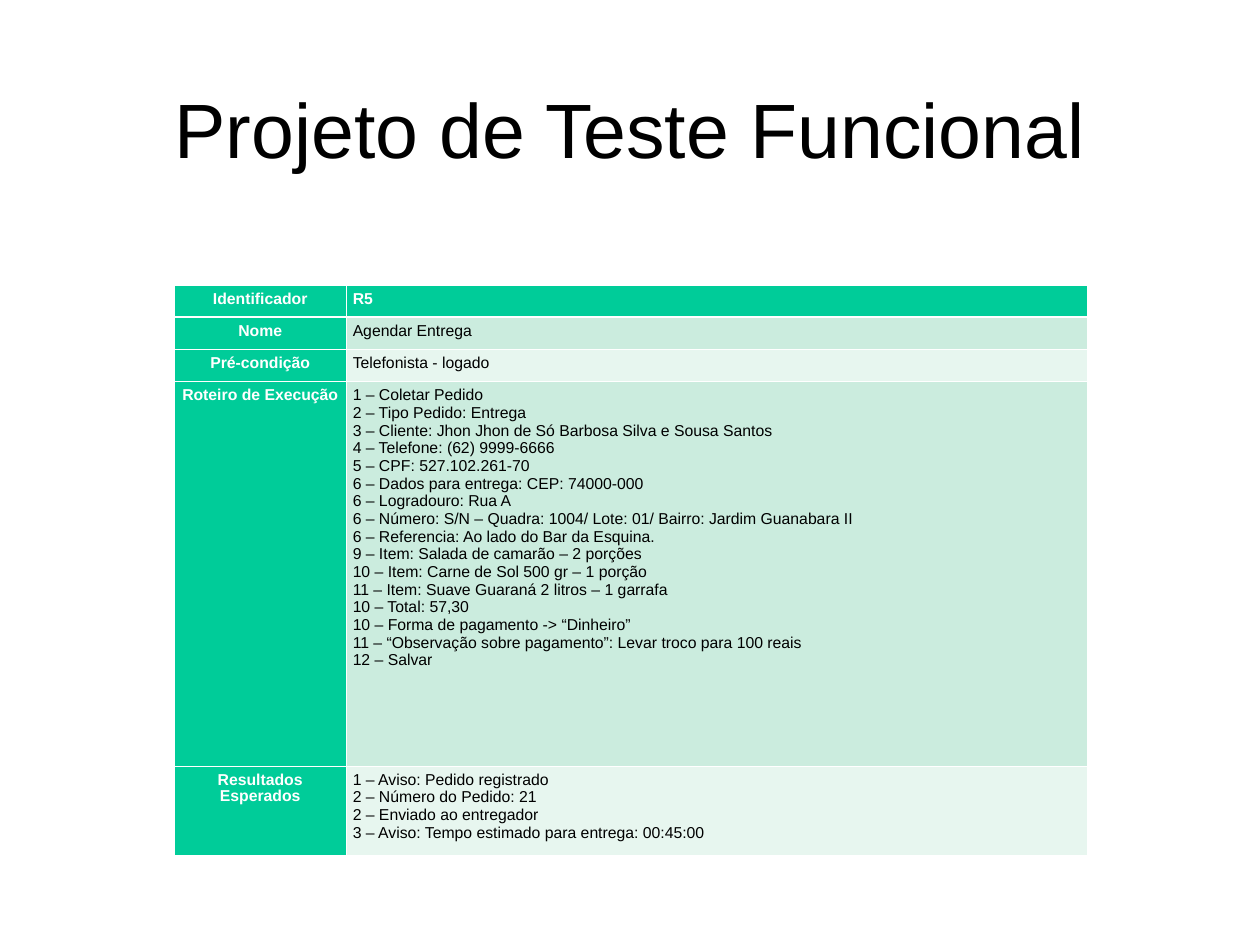
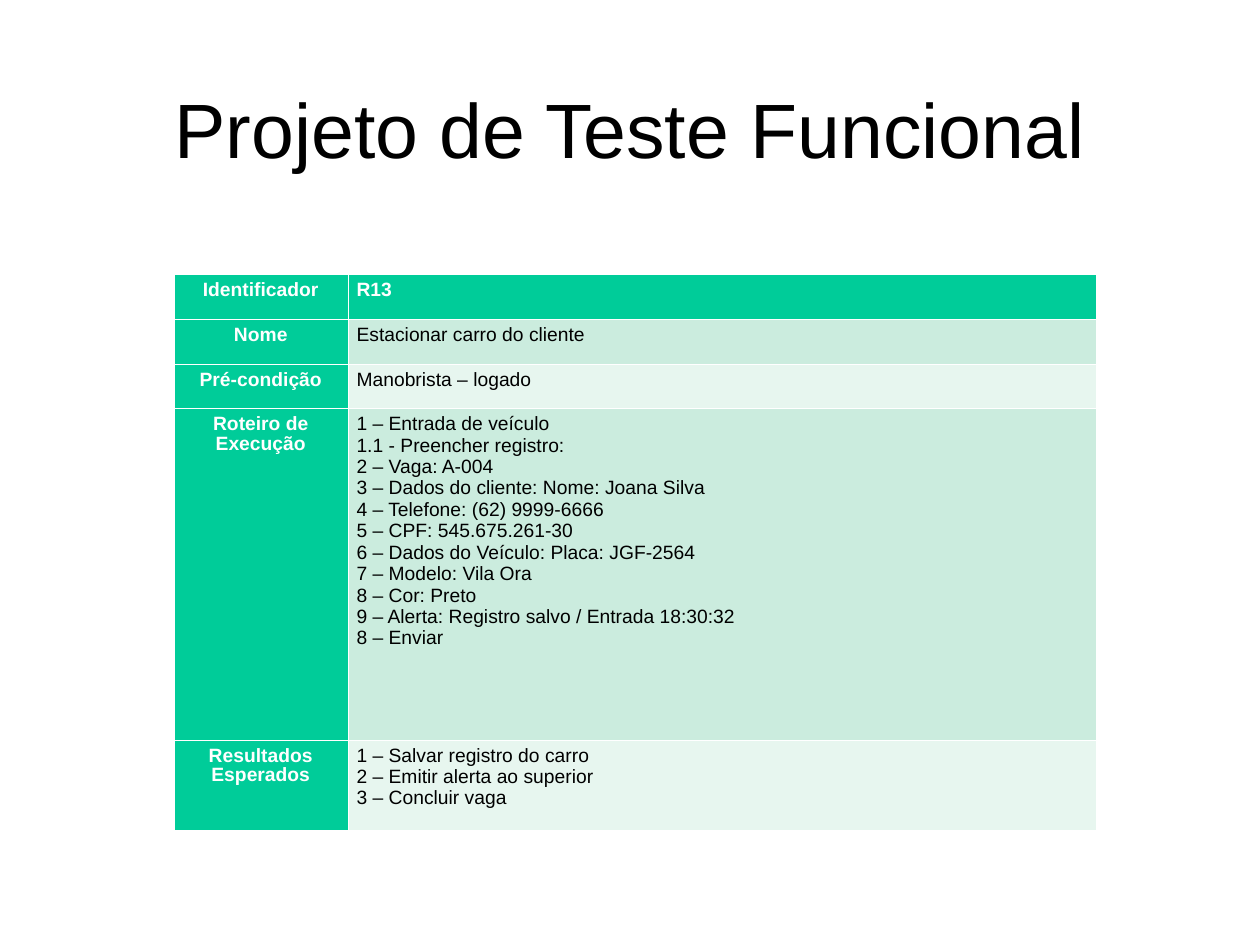
from lxml.etree import SubElement as Sub
from pptx import Presentation as Deck
from pptx.dml.color import RGBColor as Rgb
from pptx.enum.text import MSO_ANCHOR as Anchor, PP_ALIGN as Align
from pptx.oxml.ns import qn
from pptx.util import Inches, Pt

FONT = "Arial"
WHITE, BLACK = "FFFFFF", "000000"
GREEN, BANDS = "00CC99", ("E7F6EF", "CBECDE")
TITLE = "Projeto de Teste Funcional"
LABELS = ("Identificador", "Nome", "Pré-condição",
          "Roteiro de Execução", "Resultados Esperados")
THIN, THICK = 0.23, 0.75
COLS = 100

ORDER = (
    ["R5"],
    ["Agendar Entrega"],
    ["Telefonista - logado"],
    [
        "1 – Coletar Pedido",
        "2 – Tipo Pedido: Entrega",
        "3 – Cliente: Jhon Jhon de Só Barbosa Silva e Sousa Santos",
        "4 – Telefone: (62) 9999-6666",
        "5 – CPF: 527.102.261-70",
        "6 – Dados para entrega: CEP: 74000-000",
        "6 – Logradouro: Rua A",
        "6 – Número: S/N – Quadra: 1004/ Lote: 01/ Bairro: Jardim Guanabara II",
        "6 – Referencia: Ao lado do Bar da Esquina.",
        "9 – Item: Salada de camarão – 2 porções",
        "10 – Item: Carne de Sol 500 gr – 1 porção",
        "11 – Item: Suave Guaraná 2 litros – 1 garrafa",
        "10 – Total: 57,30",
        "10 – Forma de pagamento -> “Dinheiro”",
        "11 – “Observação sobre pagamento”: Levar troco para 100 reais",
        "12 – Salvar",
    ],
    [
        "1 – Aviso: Pedido registrado",
        "2 – Número do Pedido: 21",
        "2 – Enviado ao entregador",
        "3 – Aviso: Tempo estimado para entrega: 00:45:00",
    ],
)

PARKING = (
    ["R13"],
    ["Estacionar carro do cliente"],
    ["Manobrista – logado"],
    [
        "1 – Entrada de veículo",
        "1.1 - Preencher registro:",
        "2 – Vaga: A-004",
        "3 – Dados do cliente: Nome: Joana Silva",
        "4 – Telefone: (62) 9999-6666",
        "5 – CPF: 545.675.261-30",
        "6 – Dados do Veículo: Placa: JGF-2564",
        "7 – Modelo: Vila Ora",
        "8 – Cor: Preto",
        "9 – Alerta: Registro salvo / Entrada 18:30:32",
        "8 – Enviar",
    ],
    [
        "1 – Salvar registro do carro",
        "2 – Emitir alerta ao superior",
        "3 – Concluir vaga",
    ],
)


def grid(count):
    return int(Inches(10) * count / COLS)


def paint(code):
    return Rgb.from_string(code)


def add_run(para, text, size, color, bold=False):
    run = para.add_run()
    run.text = text
    font = run.font
    font.name, font.size, font.bold = FONT, Pt(size), bold
    font.color.rgb = paint(color)


def add_title(slide):
    title = slide.shapes.title
    title.left, title.top = grid(5), grid(3.9)
    title.width, title.height = grid(90), grid(12.5)
    title.text_frame.vertical_anchor = Anchor.MIDDLE
    para = title.text_frame.paragraphs[0]
    para.alignment = Align.CENTER
    add_run(para, TITLE, 44, BLACK)


def add_edges(cell, top, base):
    props = cell._tc.get_or_add_tcPr()
    for side, width in (("L", THIN), ("R", THIN), ("T", top), ("B", base)):
        line = Sub(props, qn(f"a:ln{side}"), w=str(Pt(width)))
        fill = Sub(line, qn("a:solidFill"))
        Sub(fill, qn("a:srgbClr"), val=WHITE)


def fill_cell(cell, lines, size, pad, fill, color, bold, align):
    cell.margin_left = cell.margin_right = grid(pad)
    cell.margin_top = cell.margin_bottom = grid(0.5)
    cell.vertical_anchor = Anchor.TOP
    cell.fill.solid()
    cell.fill.fore_color.rgb = paint(fill)
    frame = cell.text_frame
    for at, line in enumerate(lines):
        para = frame.add_paragraph() if at else frame.paragraphs[0]
        para.alignment = align
        if at == 0:
            para.line_spacing = 0.93
        add_run(para, line, size, color, bold)


def add_case(slide, case, top, cols, rows, size, pad):
    frame = slide.shapes.add_table(len(rows), len(cols), grid(13.8), grid(top),
                                   grid(sum(cols)), grid(sum(rows)))
    table = frame.table
    table.horz_banding = False
    for col, width in zip(table.columns, cols):
        col.width = grid(width)
    for at, (label, lines) in enumerate(zip(LABELS, case)):
        table.rows[at].height = grid(rows[at])
        head, body = table.cell(at, 0), table.cell(at, 1)
        for cell in (head, body):
            add_edges(cell, THICK if at == 1 else THIN,
                      THICK if at == 0 else THIN)
        fill_cell(head, [label], size, pad, GREEN, WHITE, True, Align.CENTER)
        first = at == 0
        fill_cell(body, lines, size, pad, GREEN if first else BANDS[at % 2],
                  WHITE if first else BLACK, first, Align.LEFT)


def add_page(deck, *case):
    slide = deck.slides.add_slide(deck.slide_layouts[5])
    add_title(slide)
    add_case(slide, *case)


def main():
    deck = Deck()
    deck.slide_width, deck.slide_height = Inches(10), Inches(7.5)
    add_page(deck, ORDER, 22.6, (13.7, 58.8),
             (2.56, 2.56, 2.56, 30.5, 7.1), 9, 0.5)
    add_page(deck, PARKING, 21.8, (13.8, 59.4),
             (3.54, 3.54, 3.54, 26.3, 7.2), 11, 0.7)
    deck.save("out.pptx")


if __name__ == "__main__":
    main()
